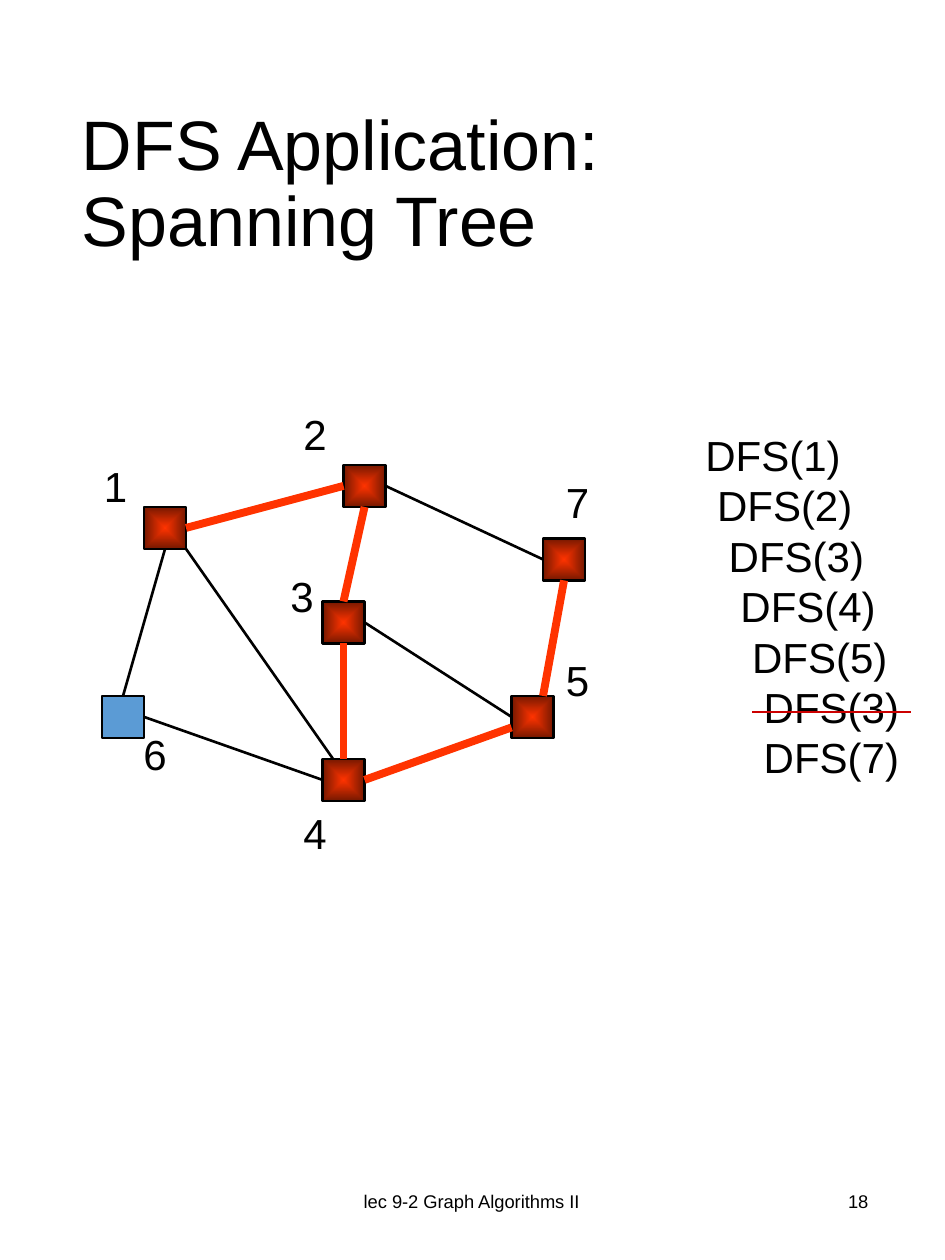
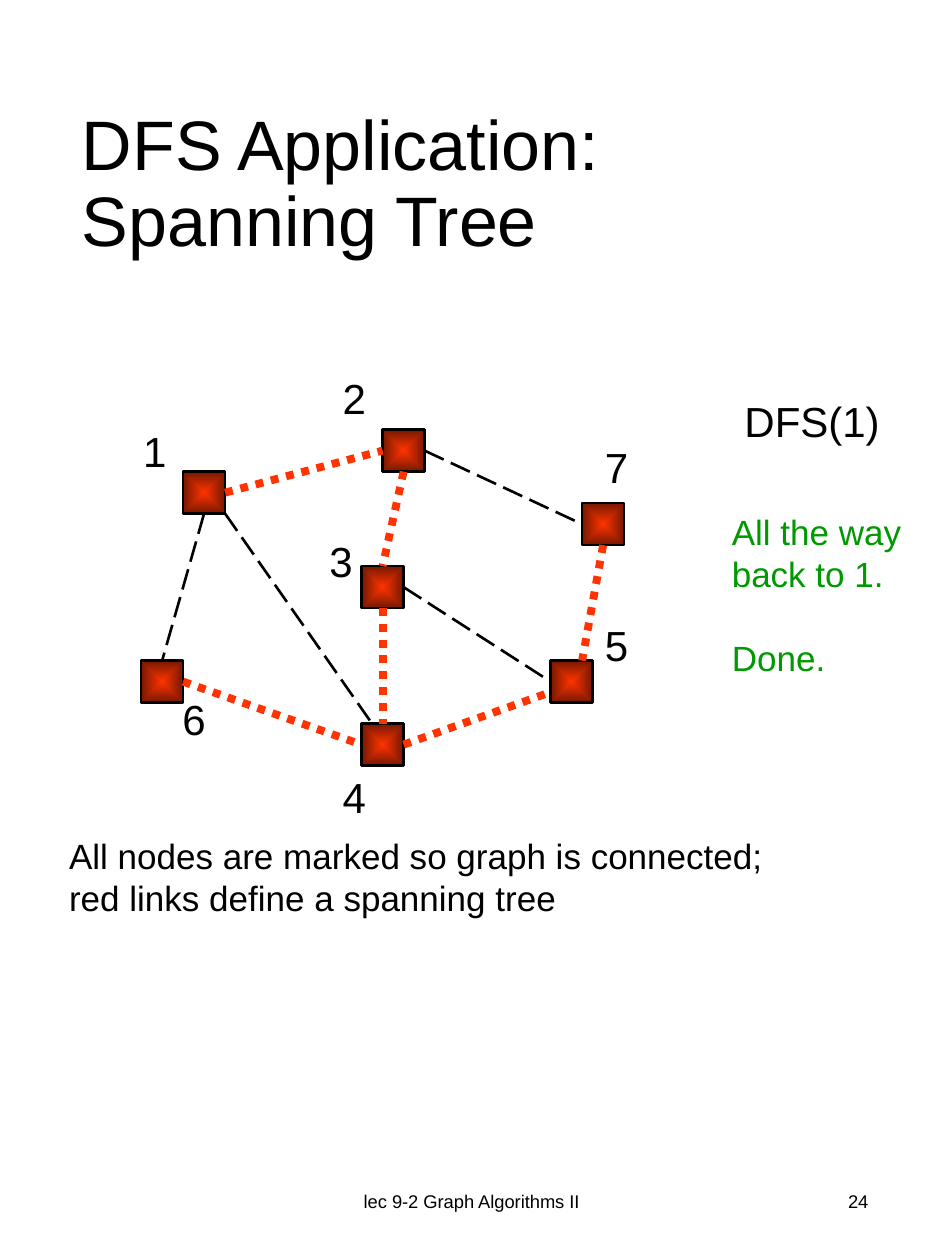
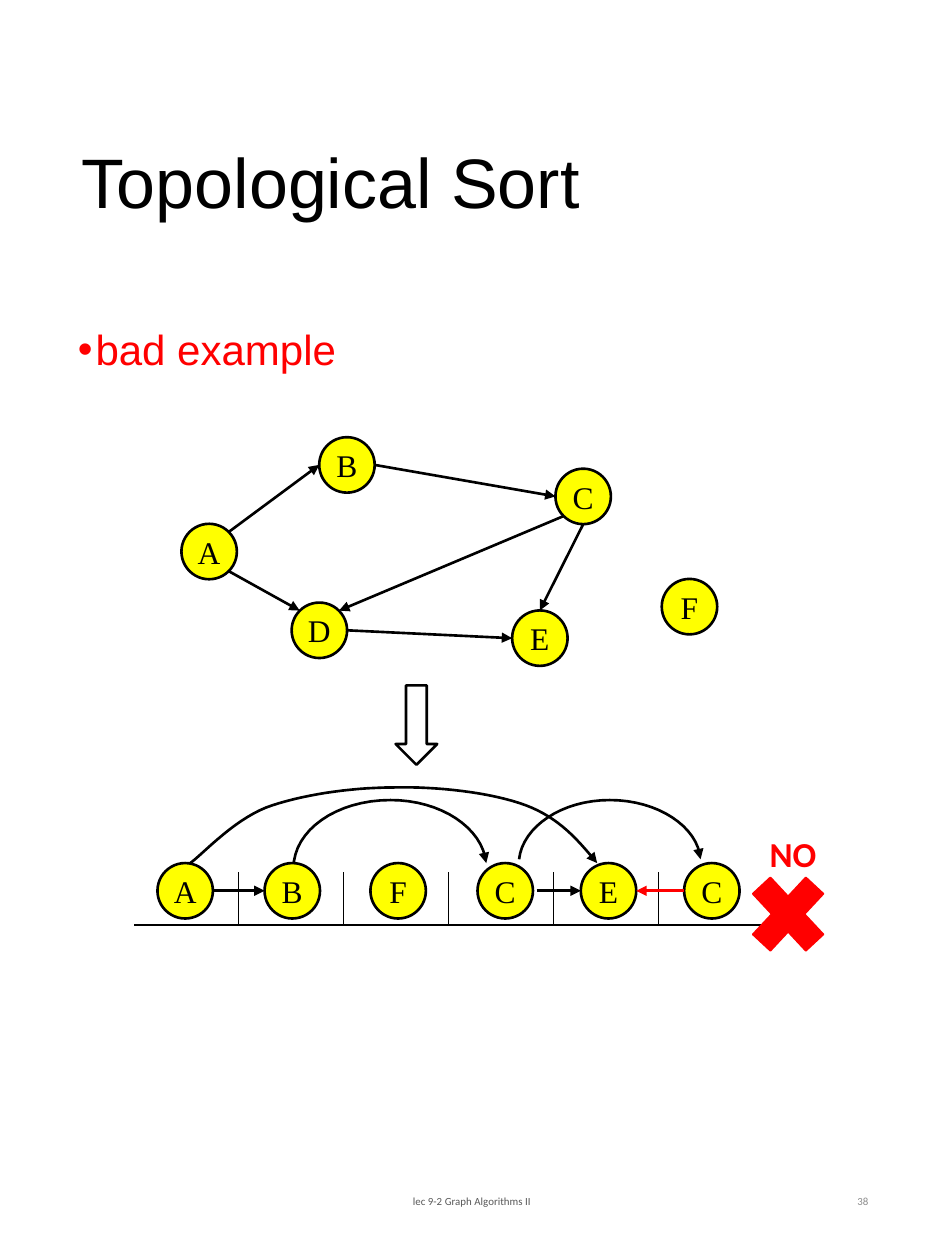
import dataclasses

import lxml.etree
import pptx
import pptx.dml.color
import pptx.enum.dml
import pptx.enum.shapes
import pptx.enum.text
import pptx.oxml.ns
import pptx.util

SHAPES = pptx.enum.shapes.MSO_SHAPE
DASHES = pptx.enum.dml.MSO_LINE
ALIGN = pptx.enum.text.PP_ALIGN
ANCHOR = pptx.enum.text.MSO_ANCHOR
qn = pptx.oxml.ns.qn

BLACK, WHITE, RED, GREEN = "000000", "FFFFFF", "FF0000", "009900"
TREE_RED, DEEP_RED, STRIKE_RED = "FF3300", "761800", "CC0000"
UNVISITED_BLUE, NODE_YELLOW = "5B9BD5", "FFFF00"
SANS, SERIF, CALIBRI = "Arial", "Times New Roman", "Calibri"
SPACE_WIDTH = 0.0926  # one 24 pt space, in inches

TOP, LEFT, BOTTOM, RIGHT = range(4)

# Spanning tree graph, in twelfths of an inch
TREE_SIDE = 4
TREE_NODES = {"1": (4, 4), "6": (0, 22), "4": (21, 28), "5": (39, 22),
              "3": (21, 13), "2": (23, 0), "7": (42, 7)}
TREE_LABELS = {"1": (-1, -1), "2": (18, -6), "7": (43, 0.5), "5": (43, 17.5),
               "4": (18, 32), "6": (2.75, 24.5), "3": (16.75, 9.5)}
# An end is a side of the node, or a (column, row) offset inside it
TREE_EDGES = [("1", RIGHT, "2", LEFT), ("2", BOTTOM, "3", TOP),
              ("2", RIGHT, "7", LEFT), ("3", RIGHT, "5", LEFT),
              ("7", BOTTOM, "5", (3, 0)), ("3", BOTTOM, "4", TOP),
              ("4", RIGHT, "5", (0, 3)), ("6", RIGHT, "4", LEFT),
              ("1", BOTTOM, "6", TOP), ("1", (4, 4), "4", (1, 0))]
FIRST_TREE = {"12", "23", "75", "34", "45"}

# Directed graph, in sixteenths of an inch
ORDER_NODES = {"A": (0, 11), "B": (17.5, 0), "C": (47.5, 4), "E": (42, 22),
               "D": (14, 21), "F": (61, 18)}
DIAGONAL = 0.71
# Each end is a direction from the centre of the circle
ORDER_EDGES = [("C", (0, 1), "E", (0, -1)), ("D", (1, 0), "E", (-1, 0)),
               ("A", (DIAGONAL, DIAGONAL), "D", (-DIAGONAL, -DIAGONAL)),
               ("C", (-DIAGONAL, DIAGONAL), "D", (DIAGONAL, -DIAGONAL)),
               ("B", (1, 0), "C", (-1, 0)),
               ("A", (DIAGONAL, -DIAGONAL), "B", (-1, 0))]
CIRCLE = 0.44

# Start point, then three control points for each curve
SEQUENCE_ARCS = [
    [(1.27, 0.65), (1.27, 0.35), (1.61, 0.11), (2.04, 0.11),
     (2.44, 0.11), (2.77, 0.33), (2.8, 0.61)],
    [(3.06, 0.58), (3.09, 0.32), (3.4, 0.11), (3.78, 0.11),
     (4.16, 0.11), (4.48, 0.32), (4.5, 0.58)],
    [(0.45, 0.61), (0.55, 0.54), (0.78, 0.28), (1.05, 0.17),
     (1.32, 0.07), (1.72, 0.01), (2.06, 0.01),
     (2.41, 0), (2.84, 0.05), (3.11, 0.15),
     (3.38, 0.25), (3.53, 0.43), (3.68, 0.61)]]
SEQUENCE_NODES = [("A", 0.19), ("B", 1.04), ("F", 1.88),
                  ("C", 2.73), ("E", 3.55), ("C", 4.37)]
SEQUENCE_ARROWS = [(0.63, 1.04, BLACK), (3.2, 3.55, BLACK), (4.37, 3.99, RED)]


@dataclasses.dataclass
class Grid:
    """A region with its corner and the size of a cell, in inches."""
    left: float
    top: float
    cell: float = 1

    def point(self, column, row):
        return (pptx.util.Inches(self.left + column * self.cell),
                pptx.util.Inches(self.top + row * self.cell))

    def box(self, column, row, width, height):
        return (*self.point(column, row), pptx.util.Inches(width * self.cell),
                pptx.util.Inches(height * self.cell))


PAGE = Grid(0, 0)


def color(value):
    return pptx.dml.color.RGBColor.from_string(value)


def set_line(line, value, width, dash=None):
    line.color.rgb = color(value)
    line.width = pptx.util.Pt(width)
    if dash:
        line.dash_style = dash


def add_arrowhead(shape):
    outline = shape._element.spPr.find(qn("a:ln"))
    lxml.etree.SubElement(outline, qn("a:tailEnd"), type="triangle")


def write(frame, lines, size, value=BLACK, font=SANS, align=ALIGN.LEFT, bold=False):
    """Fill a text frame with one paragraph for each line."""
    for index, line in enumerate(lines):
        para = frame.paragraphs[0] if index == 0 else frame.add_paragraph()
        para.alignment = align
        span = para.add_run()
        span.text = line
        span.font.size = pptx.util.Pt(size)
        span.font.name = font
        span.font.bold = bold
        span.font.color.rgb = color(value)


def add_text(page, box, lines, size, wrap=True, anchor=ANCHOR.TOP, **style):
    frame = page.shapes.add_textbox(*box).text_frame
    frame.word_wrap = wrap
    frame.vertical_anchor = anchor
    write(frame, lines, size, **style)
    return frame


def add_shape(page, kind, box, fill=None, line=BLACK, width=1.5):
    shape = page.shapes.add_shape(kind, *box)
    shape.shadow.inherit = False
    if fill:
        shape.fill.solid()
        shape.fill.fore_color.rgb = color(fill)
    else:
        shape.fill.background()
    set_line(shape.line, line, width)
    return shape


def add_line(page, begin, end, value=BLACK, width=1.5, dash=None, arrow=False):
    connector = page.shapes.add_connector(
        pptx.enum.shapes.MSO_CONNECTOR.STRAIGHT, *begin, *end)
    set_line(connector.line, value, width, dash)
    lxml.etree.SubElement(connector._element.spPr, qn("a:effectLst"))
    if arrow:
        add_arrowhead(connector)
    return connector


def add_page(deck, title, number, size=10.5, font=SANS, colors=(BLACK, BLACK)):
    """Add a slide with its title, footer and page number."""
    page = deck.slides.add_slide(deck.slide_layouts[5])
    heading = page.shapes.title
    heading.left, heading.top, heading.width, heading.height = PAGE.box(0.55, 0.51, 6.47, 1.93)
    frame = heading.text_frame
    frame.auto_size = pptx.enum.text.MSO_AUTO_SIZE.NONE
    frame.word_wrap = True
    frame.vertical_anchor = ANCHOR.MIDDLE
    write(frame, [title], 40)
    frame.paragraphs[0].line_spacing = 0.9
    footers = [((2.48, 9.27, 2.53, 0.53), "lec 9-2 Graph Algorithms II", ALIGN.CENTER),
               ((5.3, 9.27, 1.69, 0.53), number, ALIGN.RIGHT)]
    for (box, text, align), value in zip(footers, colors):
        add_text(page, PAGE.box(*box), [text], size, anchor=ANCHOR.MIDDLE,
                 value=value, font=font, align=align)
    return page


def shade_visited(shape):
    """Fill a node with red that darkens from its centre outward."""
    shape.fill.gradient()
    for stop, position, value in zip(shape.fill.gradient_stops, (0, 1), (TREE_RED, DEEP_RED)):
        stop.position = position
        stop.color.rgb = color(value)
    gradient = shape._element.spPr.find(qn("a:gradFill"))
    linear = gradient.find(qn("a:lin"))
    if linear is not None:
        gradient.remove(linear)
    spread = lxml.etree.Element(qn("a:path"), {"path": "shape"})
    lxml.etree.SubElement(spread, qn("a:fillToRect"),
                          {side: "50000" for side in "ltrb"})
    gradient.find(qn("a:gsLst")).addnext(spread)


def draw_tree_graph(page, grid, tree, unvisited="", tree_dash=None, other_dash=None):
    nodes = {}
    for name, place in TREE_NODES.items():
        box = grid.box(*place, TREE_SIDE, TREE_SIDE)
        nodes[name] = add_shape(page, SHAPES.RECTANGLE, box, UNVISITED_BLUE)
        if name not in unvisited:
            shade_visited(nodes[name])

    def end_point(name, end):
        across, down = (0, 0) if isinstance(end, int) else end
        column, row = TREE_NODES[name]
        return grid.point(column + across, row + down)

    for start, start_end, finish, finish_end in TREE_EDGES:
        style = (TREE_RED, 4.5, tree_dash) if start + finish in tree else (BLACK, 1.5, other_dash)
        edge = add_line(page, end_point(start, start_end),
                        end_point(finish, finish_end), *style)
        if isinstance(start_end, int):
            edge.begin_connect(nodes[start], start_end)
        if isinstance(finish_end, int):
            edge.end_connect(nodes[finish], finish_end)
    for name, place in TREE_LABELS.items():
        add_text(page, grid.box(*place, 4.7, 6), [name], 24, wrap=False)


def draw_call_stack(page, grid):
    calls = [("1", 0), ("2", 1), ("3", 2), ("4", 3), ("5", 4), ("3", 5), ("7", 5)]
    frame = add_text(page, grid.box(0, 0, 1.78, 2.93),
                     [f"DFS({node})" for node, depth in calls], 24)
    for para, (node, depth) in zip(frame.paragraphs, calls):
        para._p.get_or_add_pPr().set("marL", str(pptx.util.Inches(depth * SPACE_WIDTH)))
    add_line(page, grid.point(0.47, 2.29), grid.point(1.73, 2.29), STRIKE_RED)


def add_circle(page, box, name):
    circle = add_shape(page, SHAPES.OVAL, box, NODE_YELLOW)
    frame = circle.text_frame
    frame.word_wrap = False
    frame.vertical_anchor = ANCHOR.MIDDLE
    write(frame, [name], 18, font=SERIF, align=ALIGN.CENTER)


def draw_order_graph(page, grid):
    side = CIRCLE / grid.cell
    for name, place in ORDER_NODES.items():
        add_circle(page, grid.box(*place, side, side), name)

    def rim_point(name, direction):
        return grid.point(*(corner + side / 2 * (1 + shift)
                            for corner, shift in zip(ORDER_NODES[name], direction)))

    for start, leaving, finish, entering in ORDER_EDGES:
        add_line(page, rim_point(start, leaving), rim_point(finish, entering), arrow=True)


def curve_points(controls, steps=16):
    """Points along a chain of cubic Bezier curves."""
    points = [controls[0]]
    for first in range(0, len(controls) - 1, 3):
        a, b, c, d = controls[first:first + 4]
        for step in range(1, steps + 1):
            t = step / steps
            u = 1 - t
            points.append(tuple(
                u**3 * a[axis] + 3 * u * u * t * b[axis]
                + 3 * u * t * t * c[axis] + t**3 * d[axis] for axis in (0, 1)))
    return points


def add_arc(page, grid, controls):
    start, *rest = [grid.point(*point) for point in curve_points(controls)]
    builder = page.shapes.build_freeform(*start)
    builder.add_line_segments(rest, close=False)
    arc = builder.convert_to_shape()
    arc.shadow.inherit = False
    arc.fill.background()
    set_line(arc.line, BLACK, 1.5)
    add_arrowhead(arc)


def set_borders(cell, values):
    properties = cell._tc.get_or_add_tcPr()
    for side, value in zip("LRTB", values):
        border = lxml.etree.SubElement(properties, qn(f"a:ln{side}"), w=str(pptx.util.Pt(1)))
        fill = lxml.etree.SubElement(border, qn("a:solidFill"))
        lxml.etree.SubElement(fill, qn("a:srgbClr"), val=value)


def draw_slots(page, box, count):
    table = page.shapes.add_table(1, count, *box).table
    table.first_row = table.horz_banding = False
    for index in range(count):
        cell = table.cell(0, index)
        left = WHITE if index == 0 else BLACK
        right = WHITE if index == count - 1 else BLACK
        set_borders(cell, (left, right, WHITE, BLACK))
        cell.fill.background()


def draw_sequence(page, grid):
    """Draw the ordered row of nodes, its arcs and the verdict."""
    for controls in SEQUENCE_ARCS:
        add_arc(page, grid, controls)
    draw_slots(page, grid.box(0, 0.69, 5, 0.41), len(SEQUENCE_NODES))
    for name, column in SEQUENCE_NODES:
        add_circle(page, grid.box(column, 0.61, CIRCLE, CIRCLE), name)
    for begin, end, value in SEQUENCE_ARROWS:
        add_line(page, grid.point(begin, 0.83), grid.point(end, 0.83), value, arrow=True)
    add_shape(page, SHAPES.MATH_MULTIPLY, grid.box(4.79, 0.58, 0.81, 0.87), RED, RED, 1)
    add_text(page, grid.box(4.95, 0.32, 0.63, 0.44), ["NO!"], 20,
             value=RED, font=CALIBRI, bold=True)


def add_bullet(page, box, text):
    frame = add_text(page, box, [text], 24, value=RED)
    para = frame.paragraphs[0]
    properties = para._p.get_or_add_pPr()
    indent = pptx.util.Inches(0.14)
    properties.set("marL", str(indent))
    properties.set("indent", str(-indent))
    lxml.etree.SubElement(properties, qn("a:buFont"), typeface=SANS)
    lxml.etree.SubElement(properties, qn("a:buChar"), char="•")
    para.line_spacing = 0.9


def build_search_page(deck):
    page = add_page(deck, "DFS Application: Spanning Tree", "18")
    draw_tree_graph(page, Grid(0.81, 3.69, 1 / 12), FIRST_TREE, unvisited="6")
    draw_call_stack(page, Grid(5.5, 3.36))


def build_finished_page(deck):
    page = add_page(deck, "DFS Application: Spanning Tree", "24")
    draw_tree_graph(page, Grid(1.12, 3.41, 1 / 12), FIRST_TREE | {"64"},
                    tree_dash=DASHES.ROUND_DOT, other_dash=DASHES.LONG_DASH)
    add_text(page, PAGE.box(5.81, 3.09, 1.28, 0.5), ["DFS(1)"], 24, wrap=False)
    add_text(page, PAGE.box(0.45, 6.57, 5.83, 0.77),
             ["All nodes are marked so graph is connected; red links define a spanning tree"], 20)
    remark = add_text(page, PAGE.box(5.71, 4, 1.76, 1.45),
                      ["All the way", "back to 1.", "Done."], 20, value=GREEN)
    remark.paragraphs[2].space_before = pptx.util.Pt(24)


def build_sort_page(deck):
    page = add_page(deck, "Topological Sort", "38", 6.2, CALIBRI, ("595959", "8C8C8C"))
    add_bullet(page, PAGE.box(0.52, 2.56, 6.47, 6.34), "bad example")
    draw_order_graph(page, Grid(1.44, 3.47, 1 / 16))
    add_shape(page, SHAPES.DOWN_ARROW, PAGE.box(3.14, 5.44, 0.33, 0.63))
    draw_sequence(page, Grid(1.06, 6.24))


def main():
    deck = pptx.Presentation()
    deck.slide_width = pptx.util.Inches(7.5)
    deck.slide_height = pptx.util.Inches(10)
    build_search_page(deck)
    build_finished_page(deck)
    build_sort_page(deck)
    deck.save("out.pptx")


if __name__ == "__main__":
    main()
